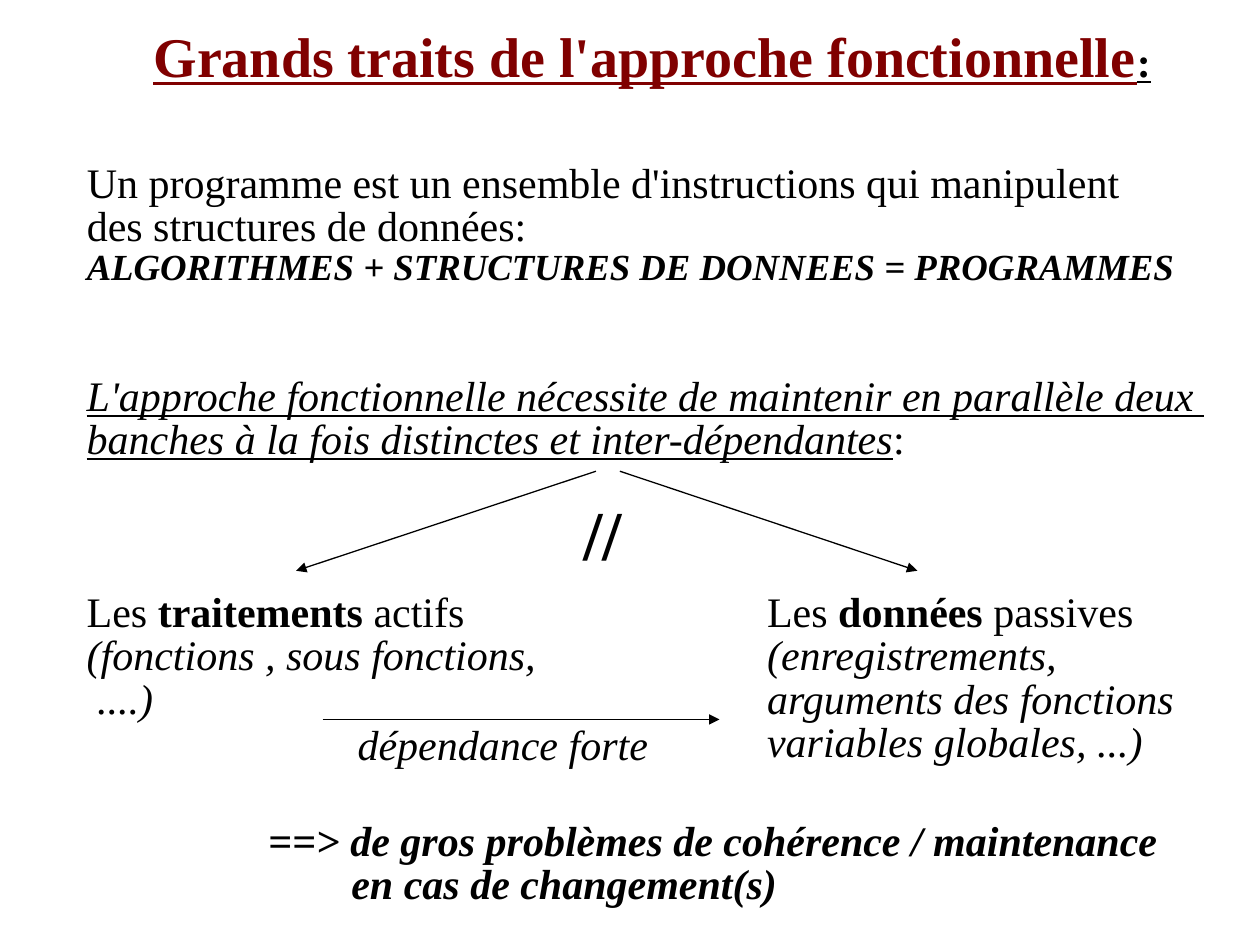
import pptx
import pptx.util
import pptx.dml.color
import pptx.enum.shapes
import pptx.oxml.ns
from lxml import etree

Inches, Pt = pptx.util.Inches, pptx.util.Pt
qn = pptx.oxml.ns.qn
INK = {"red": "800000", "black": "000000"}

deck = pptx.Presentation()
deck.slide_width, deck.slide_height = Inches(10), Inches(7.5)
slide = deck.slides.add_slide(deck.slide_layouts[6])


def write(place, lines, size=24, wrap=True):
    """Add a text box; a line is a list of (text, style letters b, i, u)."""
    frame = slide.shapes.add_textbox(*map(Inches, place)).text_frame
    frame.word_wrap = wrap
    for n, line in enumerate(lines):
        para = frame.paragraphs[0] if n == 0 else frame.add_paragraph()
        para.line_spacing = 0.86
        for text, style in line:
            run = para.add_run()
            run.text = text
            font = run.font
            font.name, font.size = "Times New Roman", Pt(size)
            font.bold, font.italic = "b" in style, "i" in style
            font.underline = "u" in style
            font.color.rgb = pptx.dml.color.RGBColor.from_string(INK["black"])
    return frame.paragraphs


title = write((1.12, 0.2, 8.13, 0.59), [
    [("Grands traits de l'approche fonctionnelle", "bu"), (":", "bu")],
], wrap=False)
head = title[0].runs[0].font
head.size = Pt(32)
head.color.rgb = pptx.dml.color.RGBColor.from_string(INK["red"])

intro = write((0.59, 1.25, 8.92, 1.11), [
    [("Un programme est un ensemble d'instructions qui manipulent", "")],
    [("des structures de données:", "")],
    [("ALGORITHMES + STRUCTURES DE DONNEES = PROGRAMMES", "bi")],
])
intro[2].runs[0].font.size = Pt(21)

body = write((0.59, 2.94, 9.1, 3.5), [
    [("L'approche fonctionnelle nécessite de maintenir en parallèle deux ", "iu")],
    [("banches à la fois distinctes et inter-dépendantes", "iu"), (":", "")],
    [("Les ", ""), ("traitements", "b"), (" actifs\tLes ", ""),
     ("données", "b"), (" passives", "")],
    [("(fonctions , sous fonctions,\t(enregistrements,", "i")],
    [(" ....)\targuments des fonctions", "i")],
    [("\tvariables globales, ...)", "i")],
])
body[2].space_before = Pt(74)
# One tab stop sets the left edge of the second column.
for para in body[2:]:
    tabs = etree.SubElement(para._p.get_or_add_pPr(), qn("a:tabLst"))
    etree.SubElement(tabs, qn("a:tab"), pos=str(Inches(5.4)), algn="l")

write((2.74, 5.71, 2.97, 0.47), [[("dépendance forte", "i")]])
write((4.53, 3.94, 0.51, 0.71), [[("//", "b")]], size=40, wrap=False)

end = write((2.03, 6.47, 7.35, 0.81), [
    [("==> de gros problèmes de cohérence / maintenance", "bi")],
    [("en cas de changement(s)", "bi")],
])
end[1]._p.get_or_add_pPr().set("marL", str(Inches(0.66)))

for ends in [
    (2.56, 5.71, 5.71, 5.71),
    (4.73, 3.74, 2.35, 4.53),
    (4.92, 3.74, 7.28, 4.53),
]:
    arrow = slide.shapes.add_connector(
        pptx.enum.shapes.MSO_CONNECTOR.STRAIGHT, *map(Inches, ends))
    arrow.line.width = Pt(0.75)
    arrow.line.color.rgb = pptx.dml.color.RGBColor.from_string(INK["black"])
    etree.SubElement(arrow.line._get_or_add_ln(), qn("a:tailEnd"), type="triangle")
    etree.SubElement(arrow._element.spPr, qn("a:effectLst"))

deck.save("out.pptx")
